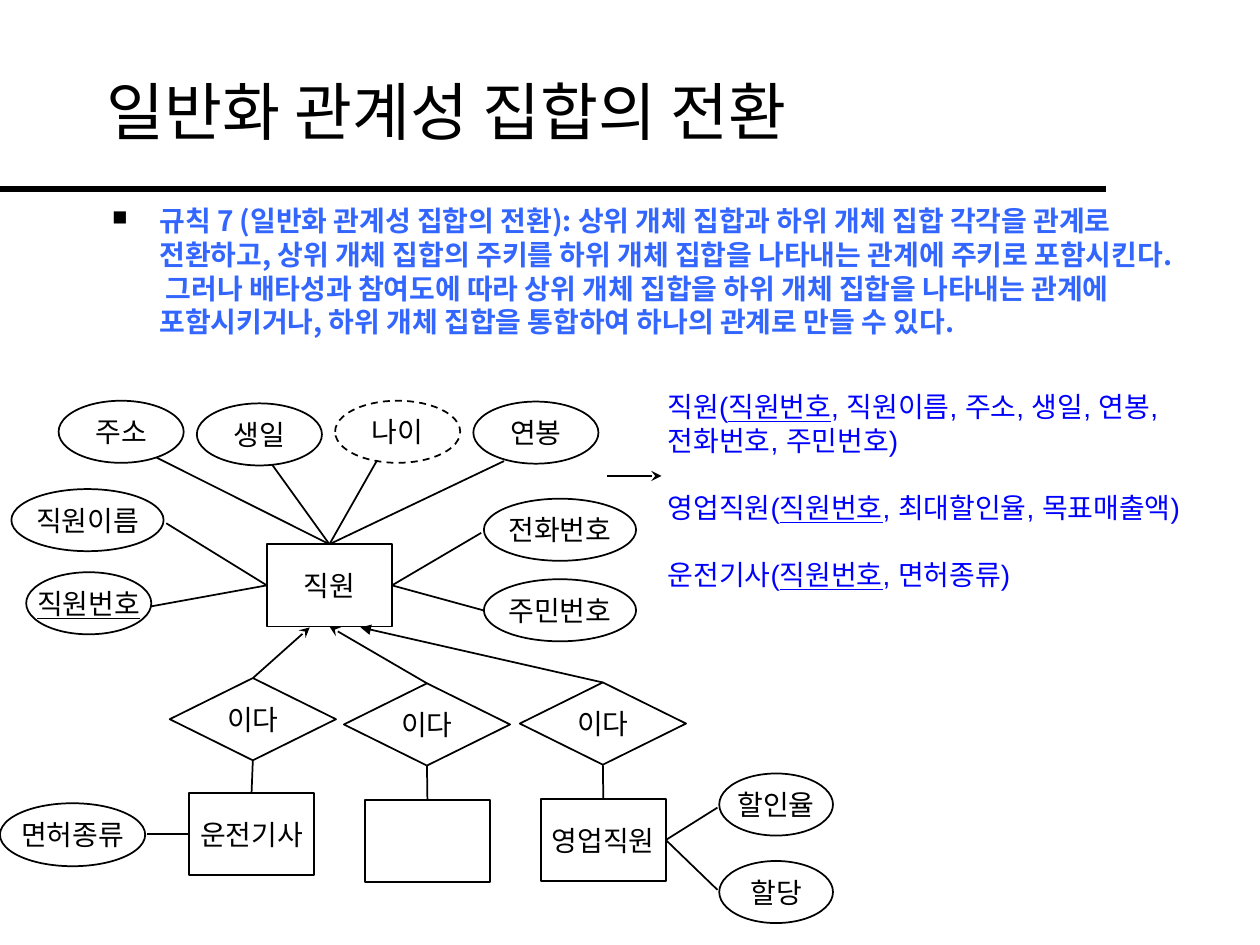
from lxml import etree
from pptx import Presentation
from pptx.dml.color import RGBColor
from pptx.enum import dml, shapes, text
from pptx.oxml.ns import qn
from pptx.util import Pt

BLACK = RGBColor(0, 0, 0)
WHITE = RGBColor(255, 255, 255)
RULE_BLUE = RGBColor(0x33, 0x66, 0xFF)
RELATION_BLUE = RGBColor(0, 0, 255)
KOREAN = "Noto Sans CJK KR"

TITLE = "일반화 관계성 집합의 전환"
RULE = ("규칙 7 (일반화 관계성 집합의 전환): 상위 개체 집합과 하위 개체 집합 각각을 관계로 "
        "전환하고, 상위 개체 집합의 주키를 하위 개체 집합을 나타내는 관계에 주키로 포함시킨다. "
        "그러나 배타성과 참여도에 따라 상위 개체 집합을 하위 개체 집합을 나타내는 관계에 "
        "포함시키거나, 하위 개체 집합을 통합하여 하나의 관계로 만들 수 있다.")
KEY = "직원번호"
RELATIONS = [
    ("직원(", ", 직원이름, 주소, 생일, 연봉, 전화번호, 주민번호)"),
    ("영업직원(", ", 최대할인율, 목표매출액)"),
    ("운전기사(", ", 면허종류)"),
]

# kind: preset shape, width, height
KINDS = {
    "entity": (shapes.MSO_SHAPE.RECTANGLE, 71.5, 47),
    "isa": (shapes.MSO_SHAPE.DIAMOND, 95, 47),
    "short": (shapes.MSO_SHAPE.OVAL, 71.5, 35.5),
    "long": (shapes.MSO_SHAPE.OVAL, 87, 35.5),
    "license": (shapes.MSO_SHAPE.OVAL, 83, 36),
    "sales": (shapes.MSO_SHAPE.OVAL, 65, 35.5),
}
# name: kind, label, left, top
NODES = {
    "employee": ("entity", "직원", 152.5, 311),
    "address": ("short", "주소", 33.5, 229),
    "birthday": ("short", "생일", 112.5, 230.5),
    "age": ("short", "나이", 191.5, 229),
    "salary": ("short", "연봉", 270.5, 229.5),
    "name": ("long", "직원이름", 6.5, 279.5),
    "number": ("short", KEY, 15, 327),
    "phone": ("long", "전화번호", 276.5, 285),
    "resident": ("long", "주민번호", 276.5, 331),
    "driver isa": ("isa", "이다", 97, 387.5),
    "blank isa": ("isa", "이다", 196.5, 390.5),
    "seller isa": ("isa", "이다", 297, 390),
    "driver": ("entity", "운전기사", 108, 453),
    "blank": ("entity", "", 208.5, 457),
    "seller": ("entity", "영업직원", 309, 456.5),
    "license": ("license", "면허종류", 0, 459),
    "discount": ("sales", "할인율", 411, 442),
    "quota": ("sales", "할당", 411, 492),
}
TOP, LEFT, BOTTOM, RIGHT = range(4)
# each end is a point or a (node, side); the last item is the arrowhead
LINKS = [
    ((89.5, 261.5), ("employee", TOP), None),
    ((155.5, 265.5), ("employee", TOP), None),
    ((215.5, 263), ("employee", TOP), None),
    ((288, 263.5), ("employee", TOP), None),
    ((95, 299), ("employee", LEFT), None),
    ((86.5, 346.5), ("employee", LEFT), None),
    ((275, 304.5), ("employee", RIGHT), None),
    ((277, 349), ("employee", RIGHT), None),
    (("driver isa", TOP), (177, 358.5), "stealth"),
    (("blank isa", TOP), ("employee", BOTTOM), "stealth"),
    (("seller isa", TOP), (206, 358.5), "triangle"),
    (("driver isa", BOTTOM), ("driver", TOP), None),
    (("blank isa", BOTTOM), ("blank", TOP), None),
    (("seller isa", BOTTOM), ("seller", TOP), None),
    ((84, 476.5), ("driver", LEFT), None),
    (("seller", RIGHT), (410, 461.5), None),
    (("seller", RIGHT), (410, 508.5), None),
    ((347, 272), (378, 272), "stealth"),
]


def add_run(paragraph, words, size=16, color=BLACK, name="Arial", **extra):
    run = paragraph.add_run()
    run.text = words
    run.font.color.rgb = color
    for attribute, value in {"size": Pt(size), "name": name, **extra}.items():
        setattr(run.font, attribute, value)
    etree.SubElement(run.font._element, qn("a:ea"), typeface=KOREAN)


def add_text_frame(slide, *box):
    frame = slide.shapes.add_textbox(*map(Pt, box)).text_frame
    frame.word_wrap = True
    return frame


def add_bullet(paragraph):
    properties = paragraph._p.get_or_add_pPr()
    properties.set("marL", str(Pt(27)))
    properties.set("indent", str(-Pt(27)))
    color = etree.SubElement(properties, qn("a:buClr"))
    etree.SubElement(color, qn("a:srgbClr"), val=str(BLACK))
    etree.SubElement(properties, qn("a:buSzPct"), val="75000")
    etree.SubElement(properties, qn("a:buChar"), char="■")


def add_node(slide, kind, label, left, top):
    preset, width, height = KINDS[kind]
    node = slide.shapes.add_shape(preset, *map(Pt, (left, top, width, height)))
    node.shadow.inherit = False
    node.fill.solid()
    node.fill.fore_color.rgb = WHITE
    node.line.color.rgb = BLACK
    node.line.width = Pt(1)
    frame = node.text_frame
    settings = {"margin_left": 0, "margin_right": 0, "margin_top": 0, "margin_bottom": 0,
                "word_wrap": False, "vertical_anchor": text.MSO_ANCHOR.MIDDLE}
    for attribute, value in settings.items():
        setattr(frame, attribute, value)
    if label:
        frame.paragraphs[0].alignment = text.PP_ALIGN.CENTER
        add_run(frame.paragraphs[0], label, underline=label == KEY)
    return node


def add_line(slide, start, end, width=1, head=None):
    line = slide.shapes.add_connector(shapes.MSO_CONNECTOR.STRAIGHT, *map(Pt, start + end))
    line.line.color.rgb = BLACK
    line.line.width = Pt(width)
    if head:
        etree.SubElement(line.line._get_or_add_ln(), qn("a:tailEnd"), type=head)
    etree.SubElement(line._element.spPr, qn("a:effectLst"))
    return line


def add_link(slide, nodes, start, end, head):
    """Draw a line and join it to every node named at its ends."""
    joined = [isinstance(place[0], str) for place in (start, end)]
    points = [(0, 0) if join else place for join, place in zip(joined, (start, end))]
    line = add_line(slide, *points, head=head)
    for join, place, connect in zip(joined, (start, end), (line.begin_connect, line.end_connect)):
        if join:
            connect(nodes[place[0]], place[1])


def main():
    deck = Presentation()
    deck.slide_width, deck.slide_height = Pt(720), Pt(540)
    slide = deck.slides.add_slide(deck.slide_layouts[6])

    add_line(slide, (0, 108), (632, 108), width=4)
    title = add_text_frame(slide, 54, 18, 612, 90)
    title.vertical_anchor = text.MSO_ANCHOR.MIDDLE
    add_run(title.paragraphs[0], TITLE, size=36, name=KOREAN)

    rule = add_text_frame(slide, 57, 113, 618, 114.5).paragraphs[0]
    add_bullet(rule)
    add_run(rule, RULE, color=RULE_BLUE, name=KOREAN, bold=True)

    nodes = {name: add_node(slide, *node) for name, node in NODES.items()}
    nodes["age"].line.dash_style = dml.MSO_LINE.DASH
    for link in LINKS:
        add_link(slide, nodes, *link)

    relations = add_text_frame(slide, 374.5, 219, 345.5, 142)
    for index, (opening, attributes) in enumerate(RELATIONS):
        paragraph = relations.add_paragraph() if index else relations.paragraphs[0]
        if index:
            paragraph.space_before = Pt(19.2)
        for words in (opening, KEY, attributes):
            add_run(paragraph, words, color=RELATION_BLUE, underline=words == KEY)

    deck.save("out.pptx")


if __name__ == "__main__":
    main()
